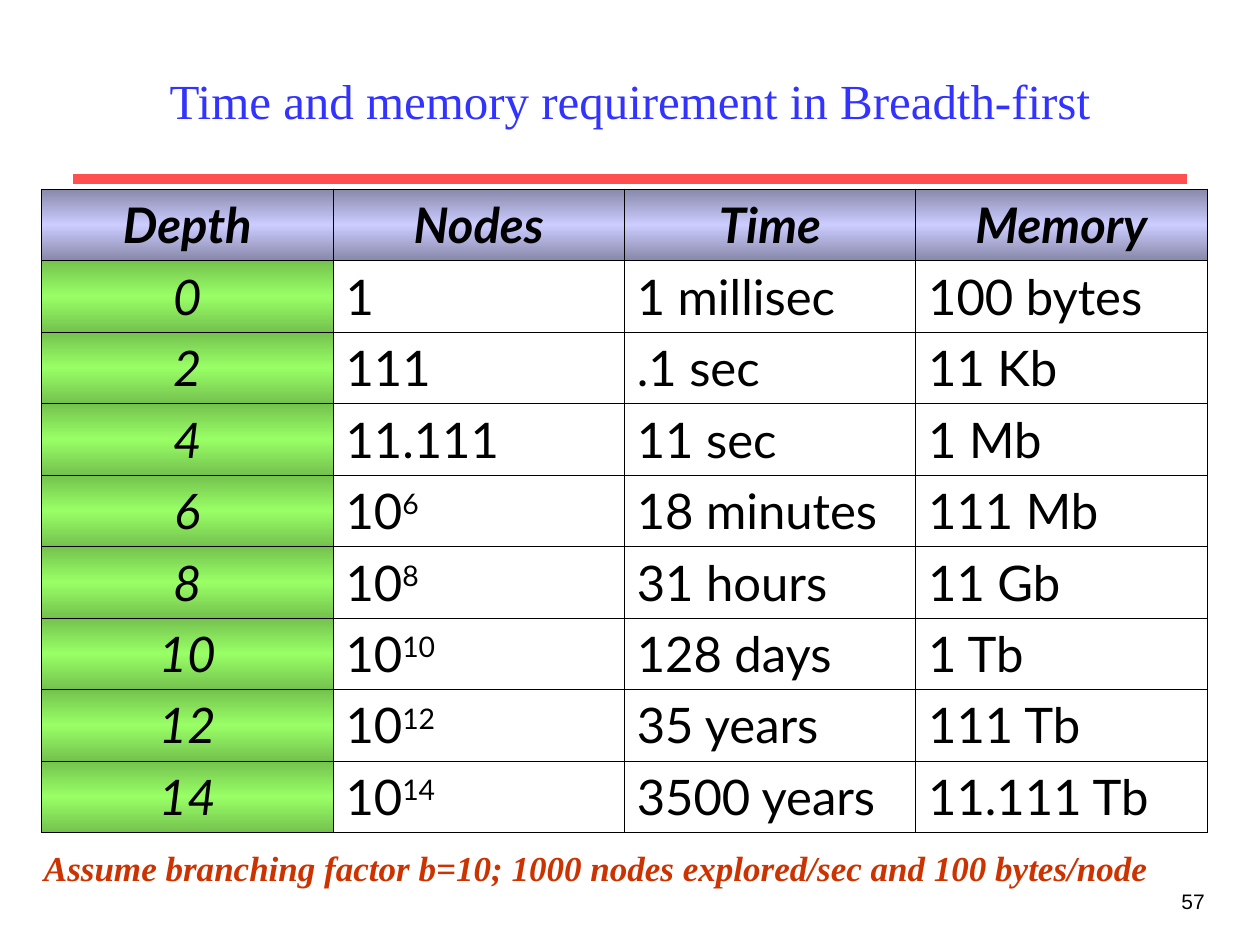
from lxml.etree import SubElement
from pptx import Presentation
from pptx.dml.color import RGBColor
from pptx.enum.shapes import MSO_CONNECTOR as CONN
from pptx.enum.text import MSO_ANCHOR as ANCHOR, PP_ALIGN as ALIGN
from pptx.oxml.ns import qn
from pptx.util import Inches, Pt

BLACK = RGBColor(0x00, 0x00, 0x00)
BLUE = RGBColor(0x33, 0x33, 0xFF)
RED = RGBColor(0xFF, 0x50, 0x50)
RUST = RGBColor(0xCC, 0x33, 0x00)
LILAC = RGBColor(0xCC, 0xCC, 0xFF)
DARK_LILAC = RGBColor(0x88, 0x88, 0xAA)
GREEN = RGBColor(0x99, 0xFF, 0x66)
DARK_GREEN = RGBColor(0x74, 0xC2, 0x4E)

SERIF = "Times New Roman"
SANS = "Arial"
TABLE_FONT = "Lato"

HEADER = ["Depth", "Nodes", "Time", "Memory"]
# A caret marks the start of an exponent.
ROWS = [
    ["0", "1", "1 millisec", "100 bytes"],
    ["2", "111", ".1 sec", "11 Kb"],
    ["4", "11.111", "11 sec", "1 Mb"],
    ["6", "10^6", "18 minutes", "111 Mb"],
    ["8", "10^8", "31 hours", "11 Gb"],
    ["10", "10^10", "128 days", "1 Tb"],
    ["12", "10^12", "35 years", "111 Tb"],
    ["14", "10^14", "3500 years", "11.111 Tb"],
]


def add_solid(parent, color):
    fill = SubElement(parent, qn("a:solidFill"))
    SubElement(fill, qn("a:srgbClr"), val=str(color))


def set_borders(cell, color, width):
    tc_pr = cell._tc.get_or_add_tcPr()
    for side in ("lnL", "lnR", "lnT", "lnB"):
        add_solid(SubElement(tc_pr, qn(f"a:{side}"), w=str(Pt(width))), color)


def set_band_fill(cell, edge, middle):
    """Fill the cell with a vertical gradient, lightest half way down."""
    grad = SubElement(cell._tc.get_or_add_tcPr(), qn("a:gradFill"))
    stops = SubElement(grad, qn("a:gsLst"))
    for pos, color in ((0, edge), (50, middle), (100, edge)):
        stop = SubElement(stops, qn("a:gs"), pos=str(pos * 1000))
        SubElement(stop, qn("a:srgbClr"), val=str(color))
    SubElement(grad, qn("a:lin"), ang=str(90 * 60000), scaled="0")


class SlideBuilder:
    def __init__(self, prs):
        self.slide = prs.slides.add_slide(prs.slide_layouts[5])
        self.shapes = self.slide.shapes

    def run(self, p, text, font, size, color, bold=False, italic=False):
        r = p.add_run()
        r.text = text
        r.font.name, r.font.size = font, Pt(size)
        r.font.bold, r.font.italic = bold, italic
        r.font.color.rgb = color
        return r

    def title(self, text, x, y, w, h):
        sp = self.shapes.title
        sp.left, sp.top, sp.width, sp.height = map(Inches, (x, y, w, h))
        tf = sp.text_frame
        tf.vertical_anchor = ANCHOR.MIDDLE
        p = tf.paragraphs[0]
        p.alignment = ALIGN.CENTER
        self.run(p, text, SERIF, 28, BLUE)

    def rule(self, x1, x2, y, color, width):
        line = self.shapes.add_connector(
            CONN.STRAIGHT, Inches(x1), Inches(y), Inches(x2), Inches(y))
        line.line.color.rgb = color
        line.line.width = Pt(width)
        SubElement(line._element.spPr, qn("a:effectLst"))

    def text(self, text, x, y, w, h, font, size, color, align=ALIGN.LEFT, **style):
        sp = self.shapes.add_textbox(*map(Inches, (x, y, w, h)))
        tf = sp.text_frame
        tf.word_wrap = True
        p = tf.paragraphs[0]
        p.alignment = align
        self.run(p, text, font, size, color, **style)

    def cell(self, cell, text, centered=False, **style):
        p = cell.text_frame.paragraphs[0]
        p.alignment = ALIGN.CENTER if centered else ALIGN.LEFT
        base, _, exponent = text.partition("^")
        self.run(p, base, TABLE_FONT, 28, BLACK, **style)
        if exponent:
            r = self.run(p, exponent, TABLE_FONT, 28, BLACK, **style)
            r.font._element.set("baseline", "30000")

    def table(self, header, rows, x, y, w, h):
        cells = [header] + rows
        table = self.shapes.add_table(
            len(cells), len(header), *map(Inches, (x, y, w, h))).table
        table.first_row = table.horz_banding = False
        for i, values in enumerate(cells):
            for j, value in enumerate(values):
                cell = table.cell(i, j)
                set_borders(cell, BLACK, 0.45)
                is_header, is_depth = i == 0, j == 0
                if is_header:
                    set_band_fill(cell, DARK_LILAC, LILAC)
                elif is_depth:
                    set_band_fill(cell, DARK_GREEN, GREEN)
                else:
                    cell.fill.background()
                label = is_header or is_depth
                self.cell(cell, value, centered=label, bold=is_header, italic=label)


def main():
    prs = Presentation()
    prs.slide_width, prs.slide_height = Inches(10), Inches(7.5)
    s = SlideBuilder(prs)
    s.rule(0.58, 9.42, 1.42, RED, 6)
    s.title("Time and memory requirement in Breadth-first", 0.75, 0.25, 8.5, 1.08)
    s.table(HEADER, ROWS, 0.33, 1.5, 9.25, 5.1)
    s.text("Assume branching factor b=10; 1000 nodes explored/sec and 100 bytes/node",
           0.25, 6.67, 9.25, 0.44, SERIF, 20, RUST, bold=True, italic=True)
    s.text("57", 7.58, 7, 2.08, 0.5, SANS, 12, BLACK, ALIGN.RIGHT)
    prs.save("out.pptx")


if __name__ == "__main__":
    main()
